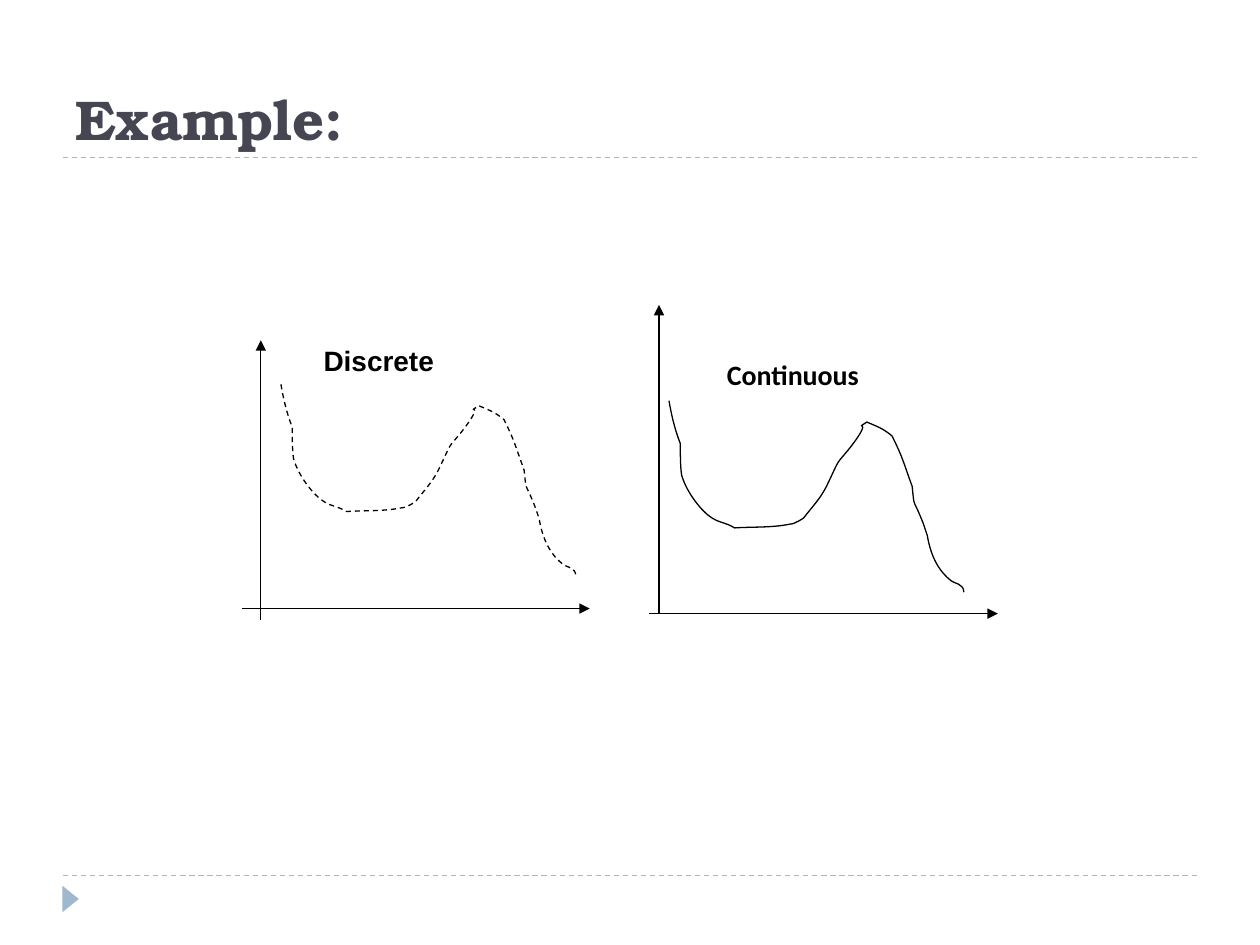
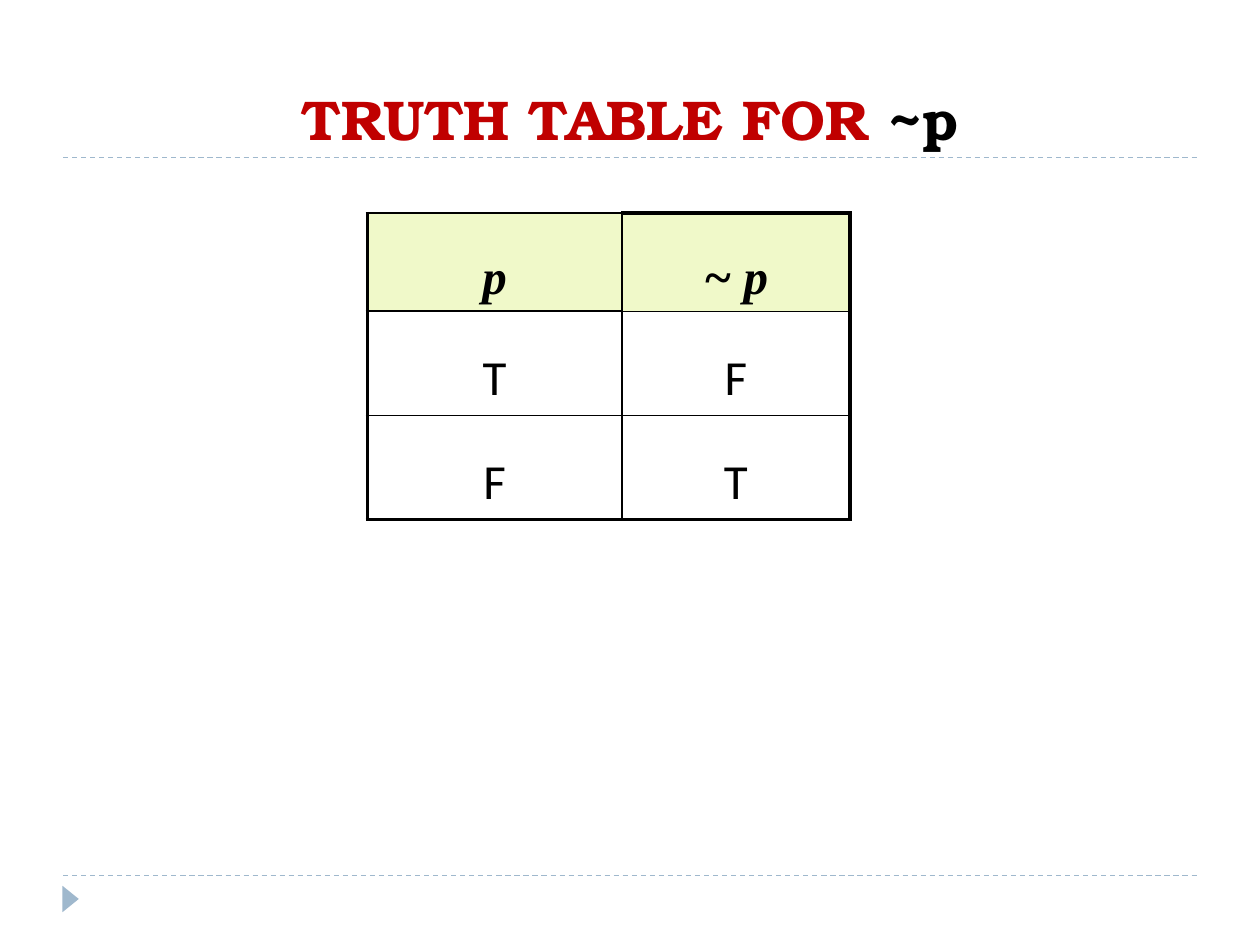
from lxml import etree
from pptx import Presentation, util as u
from pptx.dml.color import RGBColor
from pptx.enum import dml, shapes, text
from pptx.oxml import ns

SLATE = RGBColor(0x46, 0x46, 0x53)
MIST = RGBColor(0x9F, 0xB8, 0xCD)
CRIMSON = RGBColor(0xC0, 0x00, 0x00)
LIME = RGBColor(0xF0, 0xF9, 0xC9)
BLACK = RGBColor(0x00, 0x00, 0x00)

TITLE_FONT = "TeX Gyre Bonum"
CELL = u.Inches(0.5)
COLUMNS, ROWS = 20, 15
TITLE_BOX = (1, 0.34, 18, 2.17)
RULE_ROWS = (2.5, 13.9)
MARKER_BOX = (0.91, 14.14, 0.42, 0.26)

CURVE_UNIT = 0.02
CURVE_BEZIERS = [
    ((2, 12), (5, 24), (9, 34)),
    ((9, 42), (9, 52), (10, 59)),
    ((14, 73), (26, 88), (34, 93)),
    ((40, 97), (46, 97), (52, 101)),
    ((67, 100), (81, 101), (96, 98)),
    ((100, 98), (107, 93), (107, 93)),
    ((113, 85), (120, 78), (125, 68)),
    ((137, 43), (131, 53), (144, 37)),
    ((164, 11), (145, 25), (157, 17)),
    ((164, 20), (170, 22), (177, 28)),
    ((186, 46), (186, 49), (193, 68)),
    ((195, 87), (193, 75), (202, 98)),
    ((203, 101), (205, 107), (205, 107)),
    ((208, 125), (215, 136), (224, 143)),
    ((226, 145), (234, 145), (234, 152)),
]


def grid(*lengths):
    return [round(length * CELL) for length in lengths]


def write(paragraph, words, font="Calibri", size=16, color=BLACK, bold=False,
          italic=False, align=None, after=None):
    run = paragraph.add_run()
    run.text = words
    run.font.name = font
    run.font.size = u.Pt(size)
    run.font.bold = bold
    run.font.italic = italic
    run.font.color.rgb = color
    if align is not None:
        paragraph.alignment = align
    if after is not None:
        paragraph.space_after = u.Pt(after)


def stroke(line, color=BLACK, width=0.75, dashed=False):
    line.color.rgb = color
    line.width = u.Pt(width)
    if dashed:
        line.dash_style = dml.MSO_LINE.DASH


def draw_line(slide, start, end, arrow=False, **look):
    connector = slide.shapes.add_connector(
        shapes.MSO_CONNECTOR.STRAIGHT, *grid(*start, *end))
    stroke(connector.line, **look)
    properties = connector._element.spPr
    if arrow:
        etree.SubElement(properties.find(ns.qn("a:ln")), ns.qn("a:tailEnd"),
                         type="triangle")
    etree.SubElement(properties, ns.qn("a:effectLst"))


def start_slide(deck, title_runs, align):
    slide = deck.slides.add_slide(deck.slide_layouts[5])
    for row in RULE_ROWS:
        draw_line(slide, (1, row), (COLUMNS - 1, row), color=MIST, dashed=True)
    marker = slide.shapes.add_shape(
        shapes.MSO_SHAPE.ISOSCELES_TRIANGLE, *grid(*MARKER_BOX))
    marker.rotation = 90
    marker.shadow.inherit = False
    marker.fill.solid()
    marker.fill.fore_color.rgb = MIST
    marker.line.fill.background()

    title = slide.shapes.title
    title.left, title.top, title.width, title.height = grid(*TITLE_BOX)
    frame = title.text_frame
    frame.auto_size = text.MSO_AUTO_SIZE.NONE
    frame.vertical_anchor = text.MSO_ANCHOR.BOTTOM
    for words, color in title_runs:
        write(frame.paragraphs[0], words, font=TITLE_FONT, size=32,
              color=color, bold=True, align=align)
    return slide


def draw_curve(slide, left, top, dashed):
    builder = slide.shapes.build_freeform(0, 0, scale=CELL * CURVE_UNIT)
    builder.add_line_segments([end for *_, end in CURVE_BEZIERS], close=False)
    curve = builder.convert_to_shape(*grid(left, top))
    segments = list(curve._element.iter(ns.qn("a:lnTo")))
    for segment, points in zip(segments, CURVE_BEZIERS):
        bend = etree.Element(ns.qn("a:cubicBezTo"))
        for x, y in points:
            etree.SubElement(bend, ns.qn("a:pt"), x=str(x), y=str(y))
        segment.getparent().replace(segment, bend)
    curve.shadow.inherit = False
    curve.fill.background()
    stroke(curve.line, dashed=dashed)


def draw_signal(slide, box, axes, curve_at, dashed):
    left, top, width, height = box
    axis_x, axis_y = left + axes[0], top + axes[1]
    draw_curve(slide, left + curve_at[0], top + curve_at[1], dashed)
    draw_line(slide, (left, axis_y), (left + width, axis_y), arrow=True)
    draw_line(slide, (axis_x, top + height), (axis_x, top), arrow=True)


def draw_label(slide, box, words, font, after, indent=0.1, drop=0.05):
    label = slide.shapes.add_textbox(*grid(*box)).text_frame
    label.word_wrap = True
    label.margin_left = u.Inches(indent)
    label.margin_top = u.Inches(drop)
    write(label.paragraphs[0], words, font=font, bold=True, after=after)


def set_borders(cell, left, right, top, bottom):
    properties = cell._tc.get_or_add_tcPr()
    sides = zip(("lnL", "lnR", "lnT", "lnB"), (left, right, top, bottom))
    for position, (side, width) in enumerate(sides):
        line = etree.Element(ns.qn(f"a:{side}"), w=str(u.Pt(width)))
        fill = etree.SubElement(line, ns.qn("a:solidFill"))
        etree.SubElement(fill, ns.qn("a:srgbClr"), val=str(BLACK))
        properties.insert(position, line)


def draw_truth_table(slide, box, columns, rows, values):
    frame = slide.shapes.add_table(len(rows), len(columns), *grid(*box))
    table = frame.table
    for column, width in zip(table.columns, grid(*columns)):
        column.width = width
    for row, height in zip(table.rows, grid(*rows)):
        row.height = height

    upright = [(2.25, 1), (1, 2.25)]
    level = [[1.5, 1.5, 1, 2.25], [2.25, 1, 1, 2.25]]
    for r, truths in enumerate(values):
        header = r == 0
        for c, truth in enumerate(truths):
            cell = table.cell(r, c)
            cell.margin_top = u.Inches(0.3)
            if header:
                cell.fill.solid()
                cell.fill.fore_color.rgb = LIME
            else:
                cell.fill.background()
            write(cell.text_frame.paragraphs[0], truth, size=28,
                  font="Times New Roman" if header else "Calibri",
                  bold=header, italic=header,
                  align=text.PP_ALIGN.CENTER, after=10)
            set_borders(cell, *upright[c], *level[c][r:r + 2])


def example_slide(deck):
    slide = start_slide(deck, [("Example:", SLATE)], text.PP_ALIGN.LEFT)
    draw_label(slide, (9.52, 5.36, 5.92, 1.4), "Continuous", "Calibri",
               after=10, indent=1.01, drop=0.16)
    draw_signal(slide, (10.3, 4.84, 5.54, 4.9), axes=(0.16, 4.9),
                curve_at=(0.32, 1.52), dashed=False)
    draw_signal(slide, (3.84, 5.4, 5.52, 4.44), axes=(0.3, 4.26),
                curve_at=(0.62, 0.7), dashed=True)
    draw_label(slide, (4.94, 5.36, 2.84, 1.12), "Discrete", "Arial", after=3)


def truth_table_slide(deck):
    slide = start_slide(deck, [("TRUTH TABLE FOR ", CRIMSON), ("~p", BLACK)],
                        text.PP_ALIGN.CENTER)
    draw_truth_table(slide, (5.83, 3.38, 7.66, 4.86),
                     columns=(4.04, 3.62), rows=(1.56, 1.65, 1.65),
                     values=[("p", "~ p"), ("T", "F"), ("F", "T")])


def main():
    deck = Presentation()
    deck.slide_width, deck.slide_height = grid(COLUMNS, ROWS)
    example_slide(deck)
    truth_table_slide(deck)
    deck.save("out.pptx")


if __name__ == "__main__":
    main()
